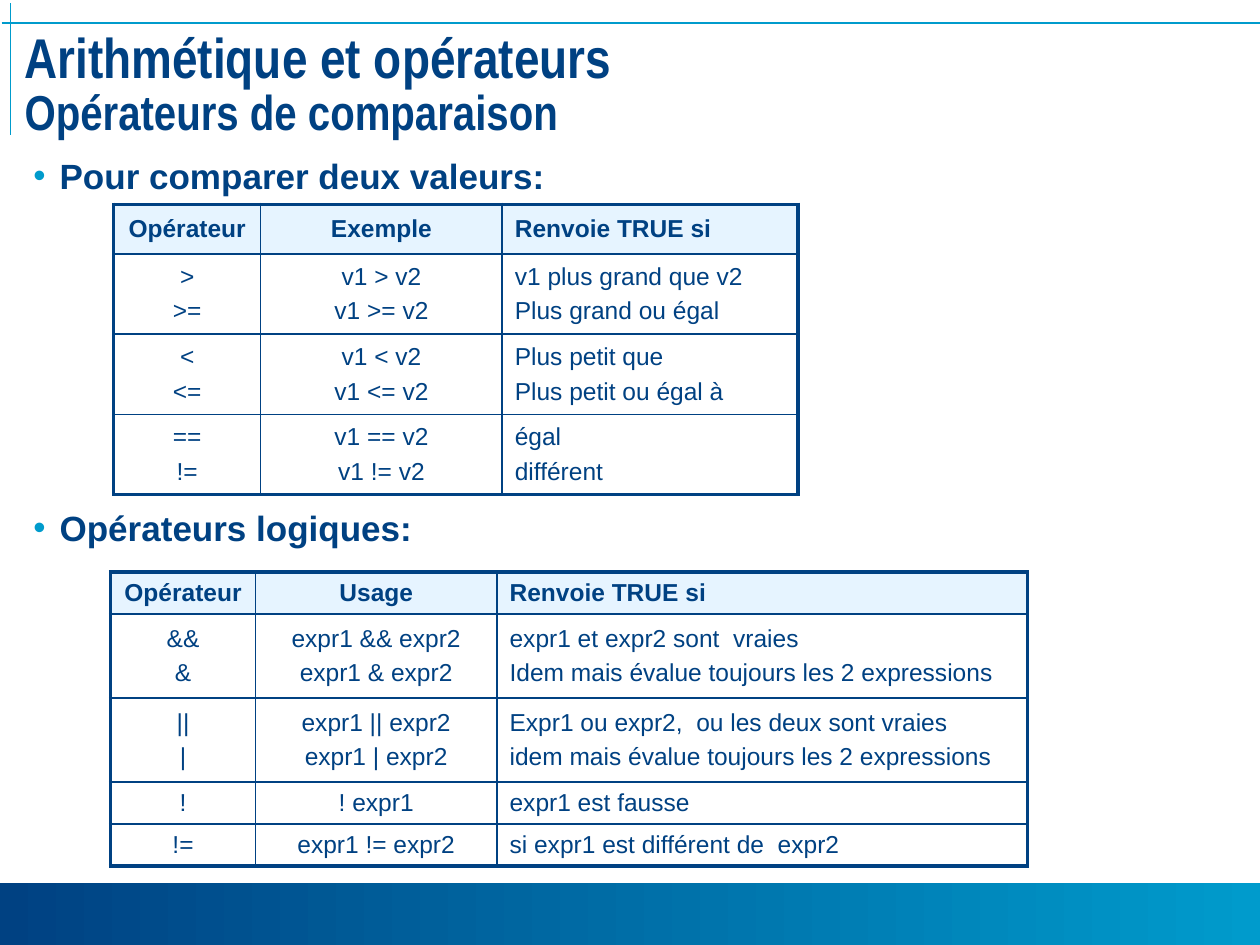
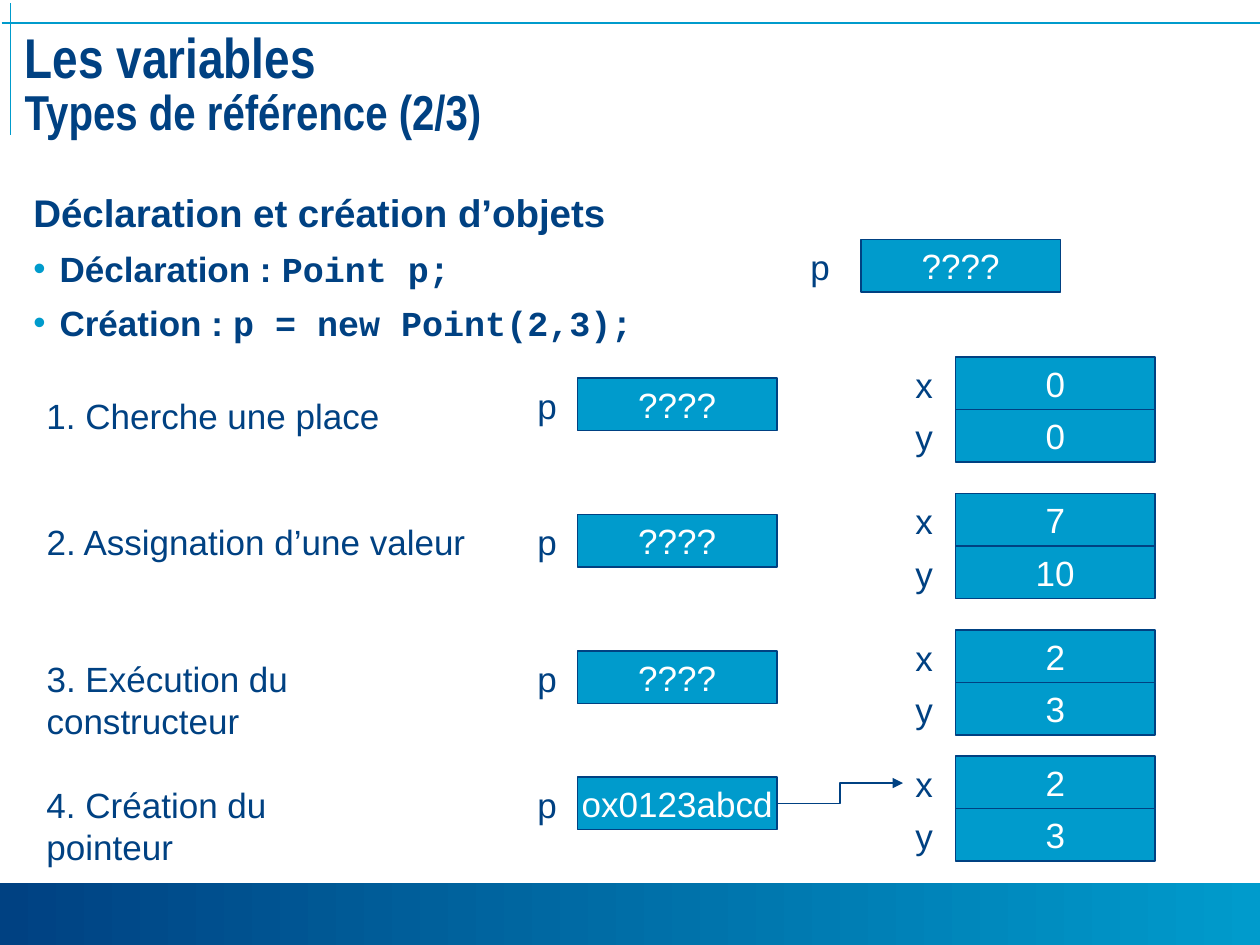
from dataclasses import dataclass

from lxml import etree
from pptx import Presentation
from pptx.dml.color import RGBColor
from pptx.enum import shapes, text
from pptx.oxml import ns
from pptx.util import Pt


@dataclass(frozen=True)
class Theme:
    navy: str = "004182"
    cyan: str = "009BCC"
    pale: str = "E6F4FF"
    white: str = "FFFFFF"
    sans: str = "Arial"
    narrow: str = "Arial Narrow"
    mono: str = "Courier New"
    title: int = 32
    sub: int = 28
    lead: int = 22
    body: int = 20
    cell: int = 14
    thick: float = 2.25
    thin: float = 1
    fine: float = 0.75


T = Theme()

COMPARE = [
    ["Opérateur", "Exemple", "Renvoie TRUE si"],
    [">\n>=", "v1 > v2\nv1 >= v2", "v1 plus grand que v2\nPlus grand ou égal"],
    ["<\n<=", "v1 < v2\nv1 <= v2", "Plus petit que\nPlus petit ou égal à"],
    ["==\n!=", "v1 == v2\nv1 != v2", "égal\ndifférent"],
]
LOGIC = [
    ["Opérateur", "Usage", "Renvoie TRUE si"],
    ["&&\n&", "expr1 && expr2\nexpr1 & expr2",
     "expr1 et expr2 sont  vraies\n"
     "Idem mais évalue toujours les 2 expressions"],
    ["||\n|", "expr1 || expr2\nexpr1 | expr2",
     "Expr1 ou expr2,  ou les deux sont vraies\n"
     "idem mais évalue toujours les 2 expressions"],
    ["!", "! expr1", "expr1 est fausse"],
    ["!=", "expr1 != expr2", "si expr1 est différent de  expr2"],
]
# Step text, its top and width, top of p, then the values of p, x and y
STEPS = [
    ("1. Cherche une place", 222, 210, 216, "????", "0", "0"),
    ("2. Assignation d’une valeur", 294, 262, 294, "????", "7", "10"),
    ("3. Exécution du constructeur", 372, 240, 372, "????", "2", "3"),
    ("4. Création du pointeur", 444, 200, 444, "ox0123abcd", "2", "3"),
]
BOX_W, BOX_H = 114, 30


def rgb(code):
    return RGBColor.from_string(code)


def sub(parent, tag, **attrs):
    return etree.SubElement(parent, ns.qn(tag), attrs)


def style(font, size, color=T.navy, bold=False, name=T.sans):
    font.size, font.bold, font.name = Pt(size), bold, name
    font.color.rgb = rgb(color)


def line(slide, x1, y1, x2, y2, color, width,
         kind=shapes.MSO_CONNECTOR.STRAIGHT):
    link = slide.shapes.add_connector(kind, Pt(x1), Pt(y1), Pt(x2), Pt(y2))
    link.line.color.rgb = rgb(color)
    link.line.width = Pt(width)
    sub(link._element.spPr, "a:effectLst")
    return link


def area(slide, x, y, w, h):
    """Add a wrapping text box; return it with its first paragraph."""
    box = slide.shapes.add_textbox(Pt(x), Pt(y), Pt(w), Pt(h))
    box.text_frame.word_wrap = True
    return box, box.text_frame.paragraphs[0]


def label(slide, words, x, y, w):
    box, par = area(slide, x, y, w, 31)
    par.text = words
    style(par.font, T.body)
    return box


def value(slide, words, x, y):
    """Draw one memory cell holding a value."""
    box = slide.shapes.add_shape(
        shapes.MSO_SHAPE.RECTANGLE, Pt(x), Pt(y), Pt(BOX_W), Pt(BOX_H))
    box.shadow.inherit = False
    box.fill.solid()
    box.fill.fore_color.rgb = rgb(T.cyan)
    box.line.color.rgb = rgb(T.navy)
    box.line.width = Pt(T.fine)
    frame = box.text_frame
    frame.word_wrap = False
    frame.vertical_anchor = text.MSO_ANCHOR.MIDDLE
    par = frame.paragraphs[0]
    par.text = words
    par.alignment = text.PP_ALIGN.CENTER
    style(par.font, T.body, T.white)
    return box


def field(slide, name, words, x, y, gap=30):
    """Draw a memory cell with its variable name on the left."""
    return label(slide, name, x - gap, y, 26), value(slide, words, x, y)


def bullet(par):
    props = par._p.get_or_add_pPr()
    props.set("marL", str(Pt(15)))
    props.set("indent", str(-Pt(15)))
    sub(sub(props, "a:buClr"), "a:srgbClr", val=T.cyan)
    sub(props, "a:buFont", typeface=T.sans)
    sub(props, "a:buChar", char="•")


def point(slide, words, y):
    par = area(slide, 12, y, 696, 31)[1]
    bullet(par)
    par.text = words
    style(par.font, T.body, bold=True)


def edge(props, spot, tag, width):
    side = etree.Element(ns.qn(tag), w=str(Pt(width)))
    sub(sub(side, "a:solidFill"), "a:srgbClr", val=T.navy)
    props.insert(spot, side)


def fill(cell, words, head, center):
    cell.vertical_anchor = text.MSO_ANCHOR.MIDDLE
    if head:
        cell.fill.solid()
        cell.fill.fore_color.rgb = rgb(T.pale)
    else:
        cell.fill.background()
    for i, part in enumerate(words.split("\n")):
        frame = cell.text_frame
        par = frame.add_paragraph() if i else frame.paragraphs[0]
        par.text = part
        if i:
            par.space_before = Pt(4)
        if center:
            par.alignment = text.PP_ALIGN.CENTER
        style(par.font, T.cell, bold=head)


def grid(slide, data, x, y, cols, rows):
    """Add a table with a thick frame, thin rules and a tinted head."""
    table = slide.shapes.add_table(
        len(rows), len(cols), Pt(x), Pt(y), Pt(sum(cols)), Pt(sum(rows))).table
    table.horz_banding = False
    for col, width in zip(table.columns, cols):
        col.width = Pt(width)
    for row, height in zip(table.rows, rows):
        row.height = Pt(height)
    last, end = len(rows) - 1, len(cols) - 1
    for r, texts in enumerate(data):
        for c, words in enumerate(texts):
            cell = table.cell(r, c)
            fill(cell, words, r == 0, c < end)
            outer = {"a:lnL": c == 0, "a:lnR": c == end,
                     "a:lnT": r == 0, "a:lnB": r == last}
            props = cell._tc.get_or_add_tcPr()
            for spot, (tag, rim) in enumerate(outer.items()):
                edge(props, spot, tag, T.thick if rim else T.thin)


def page(deck, head, tail):
    """Add a slide with the shared band, rules and two-line title."""
    slide = deck.slides.add_slide(deck.slide_layouts[6])
    band = slide.shapes.add_shape(
        shapes.MSO_SHAPE.RECTANGLE, 0, Pt(504.7), Pt(720), Pt(35.3))
    band.shadow.inherit = False
    band.line.fill.background()
    band.fill.gradient()
    band.fill.gradient_angle = 0
    for stop, color in zip(band.fill.gradient_stops, (T.navy, T.cyan)):
        stop.color.rgb = rgb(color)
    line(slide, 1, 13, 720, 13, T.cyan, T.thin)
    line(slide, 6, 2, 6, 77, T.cyan, T.thin)

    box, par = area(slide, 7, 16, 708, 73)
    box.text_frame.margin_top = box.text_frame.margin_bottom = Pt(3)
    par.line_spacing = 0.85
    style(par.font, T.title, bold=True, name=T.narrow)
    par.add_run().text = head
    par.add_line_break()
    run = par.add_run()
    run.text = tail
    run.font.size = Pt(T.sub)
    return slide


def operators(deck):
    slide = page(deck, "Arithmétique et opérateurs",
                 "Opérateurs de comparaison")
    point(slide, "Pour comparer deux valeurs:", 85)
    grid(slide, COMPARE, 65, 116.7, [84, 138, 169], [28.5] + [45.8] * 3)
    point(slide, "Opérateurs logiques:", 286)
    grid(slide, LOGIC, 63.2, 326.8, [82.8, 138, 303],
         [23.9, 48, 48, 23.9, 23.9])


def objects(deck):
    slide = page(deck, "Les variables", "Types de référence (2/3)")
    box, par = area(slide, 12, 104.5, 440, 100)
    par.text = "Déclaration et création d’objets"
    style(par.font, T.lead, bold=True)
    for name, code in (("Déclaration : ", "Point p;"),
                       ("Création : ", "p = new Point(2,3);")):
        par = box.text_frame.add_paragraph()
        bullet(par)
        par.space_before = Pt(7)
        style(par.font, T.body, bold=True)
        par.add_run().text = name
        run = par.add_run()
        run.text = code
        run.font.name = T.mono

    field(slide, "p", "????", 492, 137, 36)
    for words, top, width, y, ref, x_val, y_val in STEPS:
        label(slide, words, 19.5, top, width)
        ptr = field(slide, "p", ref, 330, y)[1]
        goal = field(slide, "x", x_val, 546, y - 12)[0]
        field(slide, "y", y_val, 546, y - 12 + BOX_H)

    arrow = line(slide, 444, 459, 516, 447, T.navy, T.fine,
                 shapes.MSO_CONNECTOR.ELBOW)
    arrow.begin_connect(ptr, 3)
    arrow.end_connect(goal, 1)
    sub(arrow.line._get_or_add_ln(), "a:tailEnd", type="triangle")


def main():
    deck = Presentation()
    deck.slide_width, deck.slide_height = Pt(720), Pt(540)
    operators(deck)
    objects(deck)
    deck.save("out.pptx")


if __name__ == "__main__":
    main()
